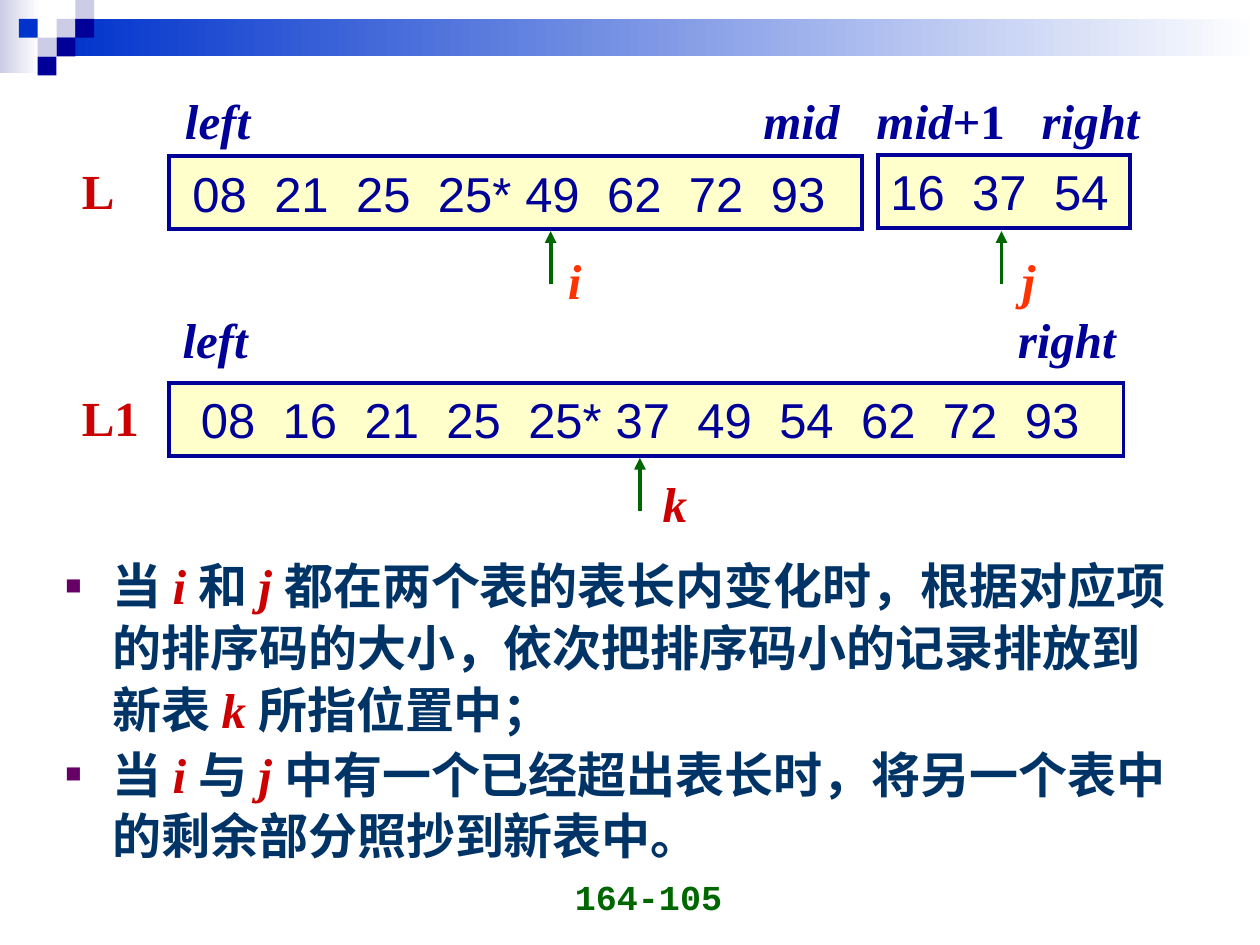
from itertools import accumulate

from lxml.etree import SubElement
from pptx import Presentation
from pptx.dml.color import RGBColor
from pptx.enum.shapes import MSO_CONNECTOR, MSO_SHAPE
from pptx.enum.text import MSO_ANCHOR, PP_ALIGN
from pptx.oxml.ns import qn
from pptx.util import Cm, Pt

NAVY = RGBColor(0x00, 0x00, 0x99)
BLUE = RGBColor(0x00, 0x33, 0xCC)
LAVENDER = RGBColor(0xCC, 0xCC, 0xE6)
WHITE = RGBColor(0xFF, 0xFF, 0xFF)
CREAM = RGBColor(0xFF, 0xFF, 0xCC)
RED = RGBColor(0xCC, 0x00, 0x00)
ORANGE = RGBColor(0xFF, 0x33, 0x00)
GREEN = RGBColor(0x00, 0x66, 0x00)
TEAL = RGBColor(0x00, 0x33, 0x66)
PURPLE = RGBColor(0x66, 0x00, 0x66)

SERIF = {"name": "Times New Roman", "size": Pt(28), "bold": True}
VALUE = {"name": "Arial", "size": Pt(28)}
PAGE = {"name": "Courier New", "size": Pt(20), "bold": True}
VALUE_PITCH, STARRED_PITCH = 1.65, 1.76


def add_run(paragraph, text, color, style, italic=False):
    run = paragraph.add_run()
    run.text = text
    for attribute, value in (style | {"italic": italic}).items():
        setattr(run.font, attribute, value)
    run.font.color.rgb = color


def add_text_box(slide, left, top, width, height, wrap=True):
    box = slide.shapes.add_textbox(Cm(left), Cm(top), Cm(width), Cm(height))
    box.text_frame.word_wrap = wrap
    return box.text_frame


def add_label(slide, left, top, runs, color):
    """Place a one-line serif label; runs are (text, italic) pairs."""
    frame = add_text_box(slide, left, top, 3.5, 1.45, wrap=False)
    for text, italic in runs:
        add_run(frame.paragraphs[0], text, color, SERIF, italic)


def add_rectangle(slide, left, top, width, height, color):
    shape = slide.shapes.add_shape(
        MSO_SHAPE.RECTANGLE, Cm(left), Cm(top), Cm(width), Cm(height))
    shape.shadow.inherit = False
    shape.fill.solid()
    shape.fill.fore_color.rgb = color
    shape.line.fill.background()
    return shape


def fade_to_white(shape, color):
    shape.fill.gradient()
    shape.fill.gradient_angle = 0
    for stop, stop_color, position in zip(
            shape.fill.gradient_stops, (color, WHITE), (0, 1)):
        stop.color.rgb = stop_color
        stop.position = position


def add_header(slide, left, top, width, cell):
    """Draw the fading bar and the mosaic, a grid of square cells."""
    fade_to_white(add_rectangle(slide, left, top, 0.79, 1.47, LAVENDER), LAVENDER)
    bar_left = 3 * cell
    fade_to_white(add_rectangle(slide, left + bar_left, top + cell,
                                width - bar_left, 2 * cell, BLUE), BLUE)
    mosaic = [(3, 1, LAVENDER), (4, 0, LAVENDER), (4, 1, NAVY), (2, 2, LAVENDER),
              (1, 1, BLUE), (3, 2, NAVY), (2, 3, NAVY)]
    for column, row, color in mosaic:
        add_rectangle(slide, left + column * cell, top + row * cell, cell, cell, color)


def add_values(slide, left, top, width, inset, values):
    """Draw a cream box whose values stand on tab stops."""
    shape = add_rectangle(slide, left, top, width, 1.47, CREAM)
    shape.line.color.rgb = NAVY
    shape.line.width = Pt(2.25)
    SubElement(shape.line._get_or_add_ln(), qn("a:miter"), lim="800000")
    frame = shape.text_frame
    frame.word_wrap = True
    frame.vertical_anchor = MSO_ANCHOR.MIDDLE
    frame.margin_left = Cm(inset)
    frame.margin_right = 0
    paragraph = frame.paragraphs[0]
    paragraph.alignment = PP_ALIGN.LEFT
    values = values.split()
    pitches = [STARRED_PITCH if "*" in value else VALUE_PITCH for value in values[:-1]]
    tabs = SubElement(paragraph._p.get_or_add_pPr(), qn("a:tabLst"))
    for position in accumulate(pitches):
        SubElement(tabs, qn("a:tab"), pos=str(Cm(position)), algn="l")
    add_run(paragraph, "\t".join(values), NAVY, VALUE)


def add_arrow_up(slide, x, bottom, top):
    arrow = slide.shapes.add_connector(
        MSO_CONNECTOR.STRAIGHT, Cm(x), Cm(bottom), Cm(x), Cm(top))
    arrow.line.color.rgb = GREEN
    arrow.line.width = Pt(2.25)
    SubElement(arrow.line._get_or_add_ln(), qn("a:tailEnd"), type="triangle")
    SubElement(arrow._element.spPr, qn("a:effectLst"))


def add_list(slide, left, top, name, segments, label_rise, labels, pointers):
    """Draw a named list with index labels above it and pointers below it."""
    for x, y, width, inset, values in segments:
        add_values(slide, left + x, top + y, width, inset, values)
    add_label(slide, left - 2, top - 0.03, [(name, False)], RED)
    for x, runs in labels:
        add_label(slide, left + x, top - label_rise, runs, NAVY)
    for arrow_x, label_x, label_y, text, color in pointers:
        add_arrow_up(slide, left + arrow_x, top + 2.58, top + 1.51)
        add_label(slide, left + label_x, top + label_y, [(text, True)], color)


def add_bullet(paragraph):
    properties = paragraph._p.get_or_add_pPr()
    properties.set("marL", str(Cm(0.95)))
    properties.set("indent", str(Cm(-0.95)))
    color = SubElement(properties, qn("a:buClr"))
    SubElement(color, qn("a:srgbClr"), val=str(PURPLE))
    SubElement(properties, qn("a:buSzPct"), val="55000")
    SubElement(properties, qn("a:buFont"), typeface="Arial")
    SubElement(properties, qn("a:buChar"), char="■")


def add_explanation(slide, left, top, width, height, items):
    """Write bullets whose runs alternate between words and variables."""
    frame = add_text_box(slide, left, top, width, height)
    for number, item in enumerate(items):
        paragraph = frame.add_paragraph() if number else frame.paragraphs[0]
        paragraph.line_spacing = 1.05
        if number:
            paragraph.space_before = Pt(1.8)
        add_bullet(paragraph)
        for position, text in enumerate(item):
            variable = position % 2 == 1
            add_run(paragraph, text, RED if variable else TEAL, SERIF, variable)


def add_page_number(slide, left, top, width, height, text):
    frame = add_text_box(slide, left, top, width, height)
    frame.vertical_anchor = MSO_ANCHOR.BOTTOM
    frame.paragraphs[0].alignment = PP_ALIGN.RIGHT
    add_run(frame.paragraphs[0], text, GREEN, PAGE)


def main():
    presentation = Presentation()
    presentation.slide_width, presentation.slide_height = Cm(25.4), Cm(19.05)
    slide = presentation.slides.add_slide(presentation.slide_layouts[6])
    add_header(slide, 0, 0, 25.4, 0.38)
    add_list(
        slide, 3.4, 3.15, "L",
        segments=[(0, 0, 13.97, 0.48, "08 21 25 25* 49 62 72 93"),
                  (14.3, -0.03, 5.08, 0.25, "16 37 54")],
        label_rise=1.45,
        labels=[(0.08, [("left", True)]), (11.74, [("mid", True)]),
                (14.02, [("mid", True), ("+1", False)]), (17.35, [("right", True)])],
        pointers=[(7.7, 7.8, 1.78, "i", ORANGE), (16.79, 16.95, 1.78, "j", ORANGE)])
    add_list(
        slide, 3.4, 7.72, "L1",
        segments=[(0, 0, 19.25, 0.65, "08 16 21 25 25* 37 49 54 62 72 93")],
        label_rise=1.6,
        labels=[(0.03, [("left", True)]), (16.87, [("right", True)])],
        pointers=[(9.5, 9.71, 1.7, "k", RED)])
    add_explanation(slide, 1.07, 11.02, 23.14, 7.42, [
        ["当 ", "i ", "和 ", "j ",
         "都在两个表的表长内变化时，根据对应项的排序码的大小，依次把排序码小的记录排放到新表 ",
         "k ", "所指位置中；"],
        ["当 ", "i ", "与 ", "j ",
         "中有一个已经超出表长时，将另一个表中的剩余部分照抄到新表中。"]])
    add_page_number(slide, 8.89, 17.35, 5.92, 1.27, "164-105")
    presentation.save("out.pptx")


if __name__ == "__main__":
    main()
